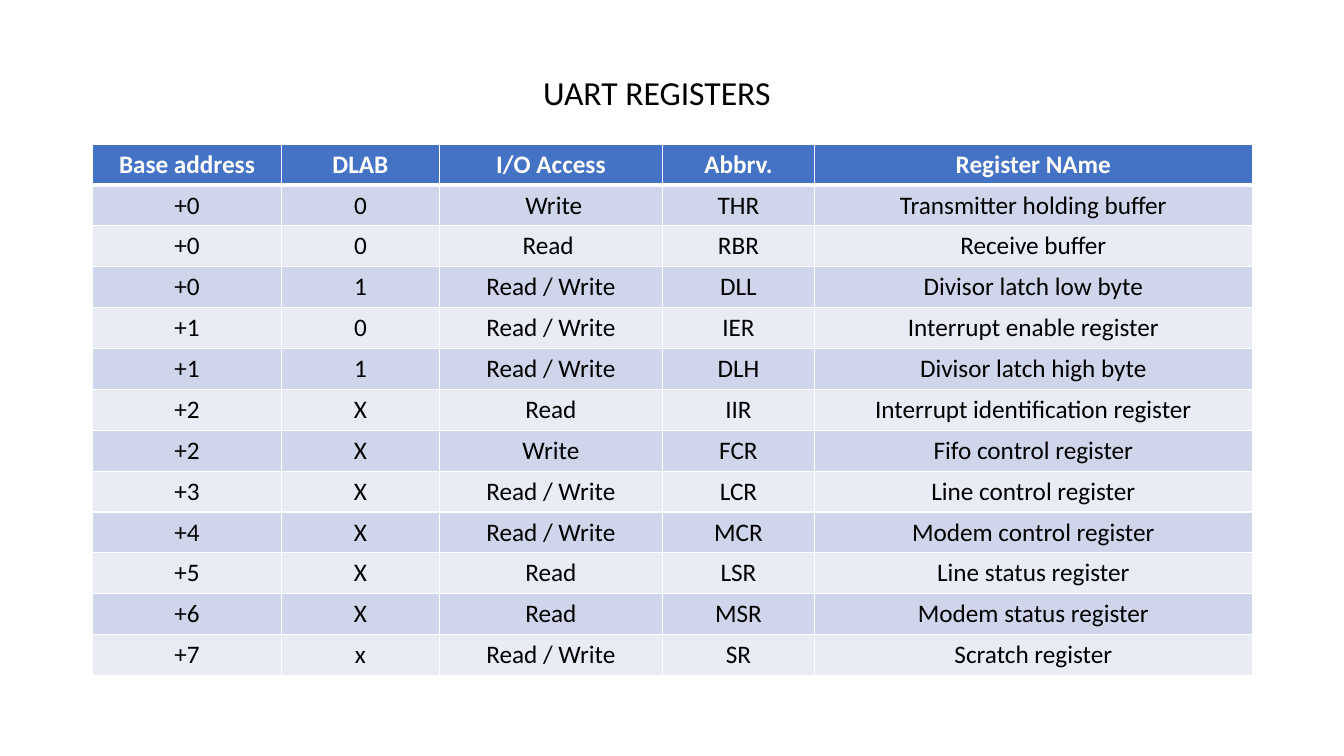
import pptx
import pptx.dml.color
import pptx.enum.text
import pptx.oxml
import pptx.oxml.ns
import pptx.util
from pptx.util import Inches

TITLE = "UART REGISTERS"
HEADINGS = ("Base address", "DLAB", "I/O Access", "Abbrv.", "Register NAme")
REGISTERS = [
    ("+0", "0", " Write", "THR", "Transmitter holding buffer"),
    ("+0", "0", "Read ", "RBR", "Receive buffer"),
    ("+0", "1", "Read / Write", "DLL", "Divisor latch low byte"),
    ("+1", "0", "Read / Write", "IER", "Interrupt enable register"),
    ("+1", "1", "Read / Write", "DLH", "Divisor latch high byte"),
    ("+2", "X", "Read", "IIR", "Interrupt identification register"),
    ("+2", "X", "Write", "FCR", "Fifo control register"),
    ("+3", "X", "Read / Write", "LCR", "Line control register"),
    ("+4", "X", "Read / Write", "MCR", "Modem control register"),
    ("+5", "X", "Read", "LSR", "Line status register"),
    ("+6", "X", "Read", "MSR", "Modem status register"),
    ("+7", "x", "Read / Write", "SR", "Scratch register"),
]
COLUMN_WIDTHS = (1.87, 1.57, 2.21, 1.51, 4.34)
TABLE_LEFT, TABLE_TOP, TABLE_HEIGHT = 0.92, 1.43, 5.27

THEME = {
    "font": "Calibri",
    "title_size": 24,
    "cell_size": 18,
    "text": "000000",
    "heading_text": "FFFFFF",
    "heading_fill": "4472C4",
    "bands": ("CFD5EA", "E9EBF5"),
    "border": "FFFFFF",
    "border_width": 1,
    "heading_rule": 3,
}


def write(frame, text, *, size, color=THEME["text"], bold=False):
    paragraph = frame.paragraphs[0]
    paragraph.alignment = pptx.enum.text.PP_ALIGN.CENTER
    run = paragraph.add_run()
    run.text = text
    run.font.name = THEME["font"]
    run.font.size = pptx.util.Pt(size)
    run.font.bold = bold
    run.font.color.rgb = pptx.dml.color.RGBColor.from_string(color)


def fill_cell(cell, color, top, bottom):
    thin = THEME["border_width"]
    properties = cell._tc.get_or_add_tcPr()
    for side, width in (("lnL", thin), ("lnR", thin), ("lnT", top), ("lnB", bottom)):
        properties.append(pptx.oxml.parse_xml(
            f'<a:{side} {pptx.oxml.ns.nsdecls("a")} w="{pptx.util.Pt(width)}">'
            f'<a:solidFill><a:srgbClr val="{THEME["border"]}"/></a:solidFill></a:{side}>'
        ))
    cell.fill.solid()
    cell.fill.fore_color.rgb = pptx.dml.color.RGBColor.from_string(color)


def add_registers(slide):
    rows = [HEADINGS, *REGISTERS]
    registers = slide.shapes.add_table(
        len(rows), len(HEADINGS), Inches(TABLE_LEFT), Inches(TABLE_TOP),
        Inches(sum(COLUMN_WIDTHS)), Inches(TABLE_HEIGHT),
    ).table
    for column, width in zip(registers.columns, COLUMN_WIDTHS):
        column.width = Inches(width)
    thin, thick = THEME["border_width"], THEME["heading_rule"]
    for index, values in enumerate(rows):
        heading = index == 0
        fill = THEME["heading_fill"] if heading else THEME["bands"][(index - 1) % 2]
        color = THEME["heading_text"] if heading else THEME["text"]
        for cell, value in zip(registers.rows[index].cells, values):
            write(cell.text_frame, value, size=THEME["cell_size"], color=color, bold=heading)
            fill_cell(cell, fill, thick if index == 1 else thin, thick if heading else thin)


def main():
    deck = pptx.Presentation()
    deck.slide_width, deck.slide_height = Inches(13.33), Inches(7.5)
    slide = deck.slides.add_slide(deck.slide_layouts[6])
    add_registers(slide)
    title = slide.shapes.add_textbox(Inches(1.9), Inches(0.66), Inches(9.23), Inches(0.5))
    title.text_frame.word_wrap = True
    title.text_frame.auto_size = pptx.enum.text.MSO_AUTO_SIZE.SHAPE_TO_FIT_TEXT
    write(title.text_frame, TITLE, size=THEME["title_size"])
    deck.save("out.pptx")


if __name__ == "__main__":
    main()
